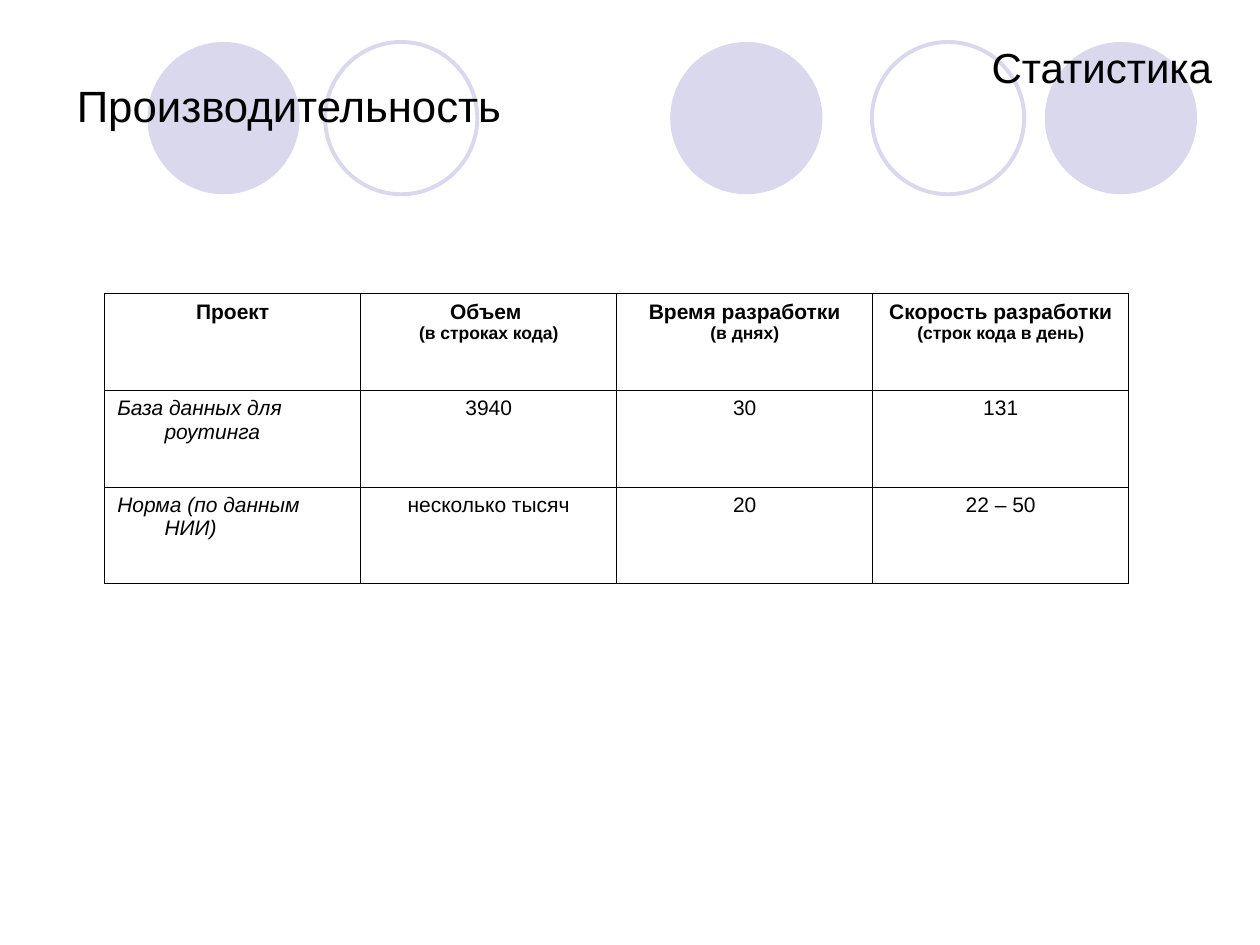
from dataclasses import dataclass

from lxml.etree import SubElement as Sub
from pptx import Presentation
from pptx.dml.color import RGBColor as Rgb
from pptx.enum.shapes import MSO_SHAPE as Geo
from pptx.enum.text import MSO_ANCHOR as Anchor, MSO_AUTO_SIZE as Auto, PP_ALIGN as Align
from pptx.oxml.ns import qn
from pptx.util import Pt


@dataclass(frozen=True)
class Theme:
    font: str = "Arial"
    ink: Rgb = Rgb(0, 0, 0)
    tint: Rgb = Rgb(0xD9, 0xD8, 0xEC)
    page: Rgb = Rgb(255, 255, 255)
    title: float = 25
    label: float = 24
    text: float = 12
    note: float = 10
    ring: float = 2.25
    rule: float = 0.45


@dataclass(frozen=True)
class Disc:
    left: float
    solid: bool


@dataclass(frozen=True)
class Box:
    left: float
    top: float
    width: float
    height: float

    def place(self) -> tuple:
        return Pt(self.left), Pt(self.top), Pt(self.width), Pt(self.height)


LOOK = Theme()
DISC_TOP, DISC_SIZE = 24, 87
DISCS = [Disc(383, True), Disc(597, True), Disc(84.25, True),
         Disc(498.25, False), Disc(185.75, False)]
TITLE = Box(36.7, 15.1, 391, 90)
LABEL = Box(541.4, 20.2, 158.4, 36)
GRID = Box(59.8, 167.8, 585.2, 165.7)
INDENT = 27
ROWS = [
    ["Проект", "Объем \n(в строках кода)", "Время разработки\n(в днях)",
     "Скорость разработки\n(строк кода в день)"],
    ["База данных для роутинга", "3940", "30", "131"],
    ["Норма (по данным НИИ)", "несколько тысяч", "20", "22 – 50"],
]


def style(par, size: float, align: Align, bold: bool = False, slant: bool = False) -> None:
    par.alignment = align
    for run in par.runs:
        font = run.font
        font.name, font.size = LOOK.font, Pt(size)
        font.bold, font.italic = bold, slant
        font.color.rgb = LOOK.ink


def draw_disc(slide, disc: Disc) -> None:
    box = Box(disc.left, DISC_TOP, DISC_SIZE, DISC_SIZE)
    shape = slide.shapes.add_shape(Geo.OVAL, *box.place())
    shape.shadow.inherit = False
    if disc.solid:
        shape.fill.solid()
        shape.fill.fore_color.rgb = LOOK.tint
        shape.line.fill.background()
    else:
        shape.fill.background()
        shape.line.color.rgb = LOOK.tint
        shape.line.width = Pt(LOOK.ring)
    # Keep the discs behind the title
    slide.shapes.title._element.addprevious(shape._element)


def draw_edges(cell) -> None:
    props = cell._tc.get_or_add_tcPr()
    for side in "LRTB":
        line = Sub(props, qn(f"a:ln{side}"), w=str(Pt(LOOK.rule)))
        fill = Sub(line, qn("a:solidFill"))
        Sub(fill, qn("a:srgbClr"), val=str(LOOK.ink))


def fill_cell(cell, text: str, head: bool, name: bool) -> None:
    draw_edges(cell)
    cell.fill.background()
    cell.text_frame.text = text
    align = Align.LEFT if name else Align.CENTER
    for num, par in enumerate(cell.text_frame.paragraphs):
        props = par._p.get_or_add_pPr()
        props.set("marL", str(Pt(INDENT)))
        props.set("indent", str(-Pt(INDENT)))
        style(par, LOOK.note if num else LOOK.text, align, head, name)


def draw_table(slide, rows: list[list[str]]) -> None:
    table = slide.shapes.add_table(len(rows), len(rows[0]), *GRID.place()).table
    table.first_row = table.horz_banding = False
    for col in table.columns:
        col.width = Pt(GRID.width / len(rows[0]))
    for r, row in enumerate(rows):
        table.rows[r].height = Pt(GRID.height / len(rows))
        for c, text in enumerate(row):
            fill_cell(table.cell(r, c), text, head=r == 0, name=r > 0 and c == 0)


def main() -> None:
    deck = Presentation()
    deck.slide_width, deck.slide_height = Pt(720), Pt(540)
    slide = deck.slides.add_slide(deck.slide_layouts[5])
    slide.background.fill.solid()
    slide.background.fill.fore_color.rgb = LOOK.page

    # Row of discs
    for disc in DISCS:
        draw_disc(slide, disc)

    # Title
    title = slide.shapes.title
    title.left, title.top, title.width, title.height = TITLE.place()
    frame = title.text_frame
    frame.text = "Производительность"
    frame.auto_size = Auto.NONE
    frame.vertical_anchor = Anchor.MIDDLE
    style(frame.paragraphs[0], LOOK.title, Align.LEFT)

    # Section label
    frame = slide.shapes.add_textbox(*LABEL.place()).text_frame
    frame.word_wrap = True
    frame.text = "Статистика"
    style(frame.paragraphs[0], LOOK.label, Align.RIGHT)

    # Comparison table
    draw_table(slide, ROWS)
    deck.save("out.pptx")


if __name__ == "__main__":
    main()
